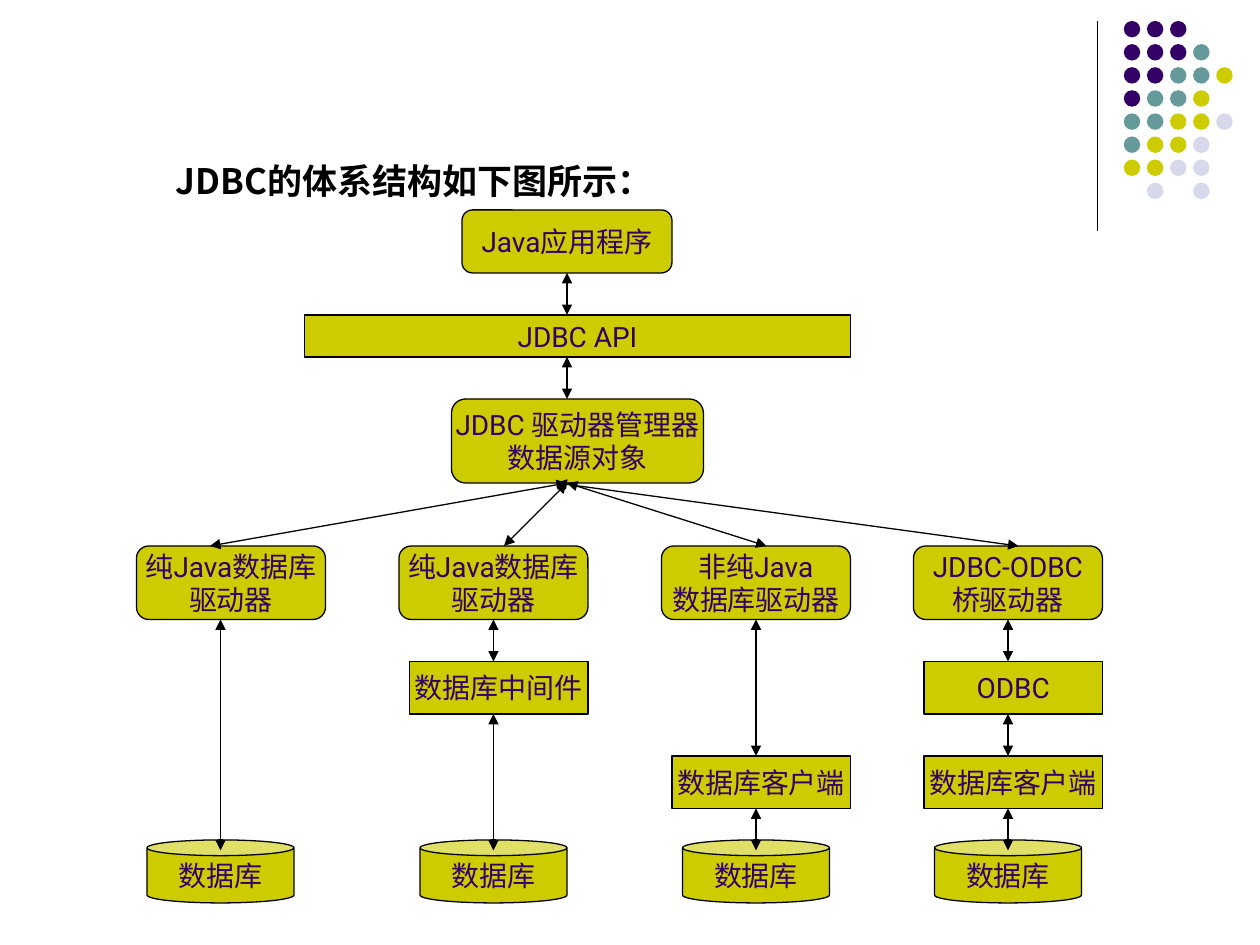
from collections import namedtuple
from dataclasses import dataclass

from lxml import etree
from pptx import Presentation
from pptx.dml.color import RGBColor
from pptx.enum import shapes, text
from pptx.oxml import ns
from pptx.util import Pt

Box = namedtuple("Box", "x y w h")
KIND = shapes.MSO_SHAPE


@dataclass(frozen=True)
class Theme:
    ink: str = "000000"
    purple: str = "330066"
    teal: str = "669999"
    olive: str = "CCCC00"
    lilac: str = "D8D8EC"
    latin: str = "Roboto"
    cjk: str = "Noto Sans CJK SC"
    heading: int = 20
    label: int = 16
    line: float = 0.75


THEME = Theme()

DOTS = ["PPP", "PPPT", "PPTTO", "PTTO", "TTOOL", "TOOL", "OOLL", " L L"]
DOT_COLOURS = {"P": THEME.purple, "T": THEME.teal, "O": THEME.olive, "L": THEME.lilac}

# Offsets within the diagram: driver left, arrow axis, fan arrow's start and end,
# driver label, then the (top, label) of each layer below it.
BRANCHES = [
    (0, 48, 246, 42, "纯Java数据库\n驱动器", []),
    (150, 204, 246, 210, "纯Java数据库\n驱动器", [(258, "数据库中间件")]),
    (300, 354, 246, 360, "非纯Java\n数据库驱动器", [(312, "数据库客户端")]),
    (444, 498, 240, 504, "JDBC-ODBC\n桥驱动器", [(258, "ODBC"), (312, "数据库客户端")]),
]


def rgb(value):
    return RGBColor.from_string(value)


def style_font(r, size, colour, latin, bold=False):
    values = {"size": Pt(size), "name": latin, "bold": bold}
    for name, value in values.items():
        setattr(r.font, name, value)
    r.font.color.rgb = rgb(colour)
    ea = etree.SubElement(r.font._element, ns.qn("a:ea"))
    ea.set("typeface", THEME.cjk)


def add_node(s, kind, box, label):
    sp = s.shapes.add_shape(kind, *map(Pt, box))
    sp.shadow.inherit = False
    sp.fill.solid()
    sp.fill.fore_color.rgb = rgb(THEME.olive)
    sp.line.color.rgb = rgb(THEME.ink)
    sp.line.width = Pt(THEME.line)
    tf = sp.text_frame
    tf.word_wrap = False
    tf.vertical_anchor = text.MSO_ANCHOR.MIDDLE
    tf.text = label
    for p in tf.paragraphs:
        p.alignment = text.PP_ALIGN.CENTER
        for r in p.runs:
            style_font(r, THEME.label, THEME.purple, THEME.latin)
    return sp


def add_line(s, x1, y1, x2, y2, arrows=False):
    line = s.shapes.add_connector(
        shapes.MSO_CONNECTOR.STRAIGHT, Pt(x1), Pt(y1), Pt(x2), Pt(y2))
    line.line.color.rgb = rgb(THEME.ink)
    line.line.width = Pt(THEME.line)
    if arrows:
        ln = line.line._get_or_add_ln()
        for end in ("a:headEnd", "a:tailEnd"):
            etree.SubElement(ln, ns.qn(end)).set("type", "triangle")
    etree.SubElement(line._element.spPr, ns.qn("a:effectLst"))
    return line


def add_arrow_below(s, sp, x, y1, y2):
    """Draw a two-headed vertical arrow, joined to sp if it starts at its middle."""
    arrow = add_line(s, x, y1, x, y2, arrows=True)
    if sp.left + sp.width // 2 == Pt(x):
        arrow.begin_connect(sp, 2)


def add_dot_ornament(s, box):
    add_line(s, box.x, box.y, box.x, box.y + box.h)
    pitch, size, inset = 13.2, 9.4, 15.2
    group = s.shapes.add_group_shape()
    for row, codes in enumerate(DOTS):
        for col, code in enumerate(codes):
            if code == " ":
                continue
            dot = group.shapes.add_shape(
                KIND.OVAL, Pt(box.x + inset + col * pitch), Pt(box.y + row * pitch),
                Pt(size), Pt(size))
            dot.shadow.inherit = False
            dot.fill.solid()
            dot.fill.fore_color.rgb = rgb(DOT_COLOURS[code])
            dot.line.fill.background()


def fill_body(s, box, sentence):
    body = s.placeholders[1]
    for name, value in zip(("left", "top", "width", "height"), box):
        setattr(body, name, Pt(value))
    tf = body.text_frame
    tf.word_wrap = True
    tf.auto_size = text.MSO_AUTO_SIZE.NONE
    p = tf.paragraphs[0]
    values = {"alignment": text.PP_ALIGN.JUSTIFY, "line_spacing": 1.4,
              "space_before": Pt(5)}
    for name, value in values.items():
        setattr(p, name, value)
    pPr = p._p.get_or_add_pPr()
    pPr.set("marL", str(Pt(27)))
    pPr.set("indent", "0")
    etree.SubElement(pPr, ns.qn("a:buNone"))
    r = p.add_run()
    r.text = sentence
    style_font(r, THEME.heading, THEME.ink, THEME.cjk, bold=True)


def add_upper_layers(s, box):
    x, y = box.x, box.y
    axis = x + 246
    app = add_node(s, KIND.ROUNDED_RECTANGLE, Box(x + 186, y, 120, 36), "Java应用程序")
    api = add_node(s, KIND.RECTANGLE, Box(x + 96, y + 60, 312, 24), "JDBC API")
    add_node(s, KIND.ROUNDED_RECTANGLE, Box(x + 180, y + 108, 144, 48),
             "JDBC 驱动器管理器\n数据源对象")
    add_arrow_below(s, app, axis, y + 36, y + 60)
    add_arrow_below(s, api, axis, y + 84, y + 108)


def add_branch(s, box, left, axis, fan_start, fan_end, label, layers):
    """Stack one driver, its layers and its database, with arrows between them."""
    x, y = box.x, box.y
    driver_top, driver_h, layer_h, can_top = 192, 42, 30, 360
    above = add_node(s, KIND.ROUNDED_RECTANGLE,
                     Box(x + left, y + driver_top, 108, driver_h), label)
    bottom = driver_top + driver_h
    for top, name in layers:
        layer = add_node(s, KIND.RECTANGLE, Box(x + left + 6, y + top, 102, layer_h), name)
        add_arrow_below(s, above, x + axis, y + bottom, y + top)
        above, bottom = layer, top + layer_h
    add_node(s, KIND.CAN, Box(x + axis - 42, y + can_top, 84, 36), "数据库")
    add_arrow_below(s, above, x + axis, y + bottom, y + can_top + 6)
    add_line(s, x + fan_start, y + 156, x + fan_end, y + driver_top, arrows=True)


def add_architecture(s, box):
    add_upper_layers(s, box)
    for branch in BRANCHES:
        add_branch(s, box, *branch)


def main():
    prs = Presentation()
    prs.slide_width, prs.slide_height = Pt(720), Pt(540)
    s = prs.slides.add_slide(prs.slide_layouts[1])
    title = s.shapes.title._element
    title.getparent().remove(title)
    add_dot_ornament(s, Box(627, 12, 77, 120))
    fill_body(s, Box(66, 78, 612, 444), "JDBC的体系结构如下图所示：")
    add_architecture(s, Box(78, 120, 552, 396))
    prs.save("out.pptx")


if __name__ == "__main__":
    main()
